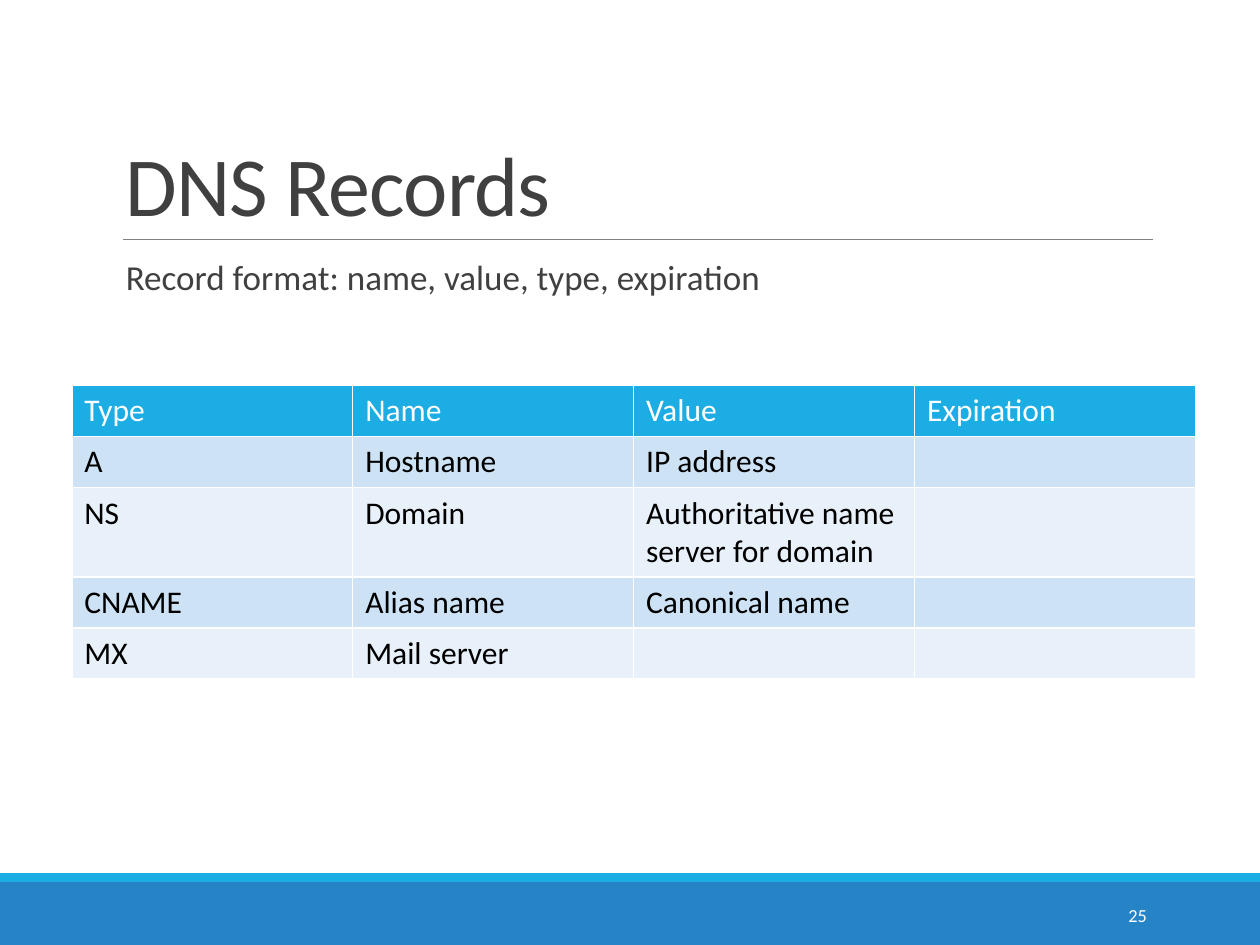
from lxml import etree
from pptx import Presentation
from pptx.dml.color import RGBColor
from pptx.enum import shapes, text
from pptx.oxml import ns
from pptx.util import Pt

WHITE = RGBColor(0xFF, 0xFF, 0xFF)
BLACK = RGBColor(0, 0, 0)
CHARCOAL = RGBColor(0x40, 0x40, 0x40)
GRAY = RGBColor(0x80, 0x80, 0x80)
BLUE = RGBColor(0x26, 0x83, 0xC6)
CYAN = RGBColor(0x1C, 0xAD, 0xE4)
BAND_DARK = RGBColor(0xCD, 0xE3, 0xF5)
BAND_LIGHT = RGBColor(0xE8, 0xF1, 0xFA)

TITLE = "DNS Records"
FORMAT = "Record format: name, value, type, expiration"
PAGE = "25"
RECORDS = [
    ("Type", "Name", "Value", "Expiration"),
    ("A", "Hostname", "IP address", ""),
    ("NS", "Domain", "Authoritative name server for domain", ""),
    ("CNAME", "Alias name", "Canonical name", ""),
    ("MX", "Mail server", "", ""),
]
ROW_HEIGHTS = [29.2, 29.2, 51, 29.2, 29.2]
COLUMN_WIDTH = 160.5

FOOTER_BANDS = [
    ((0, 504, 720, 36), BLUE),
    ((0, 498.96, 720, 5.04), CYAN),
]


def points(box):
    return [Pt(value) for value in box]


def apply(target, values):
    for name, value in values.items():
        setattr(target, name, value)


def write(paragraph, words, size, color):
    run = paragraph.add_run()
    run.text = words
    apply(run.font, {"name": "Calibri", "size": Pt(size)})
    run.font.color.rgb = color
    return run


def add_label(slide, box, words, size, color, frame_format, paragraph_format):
    frame = slide.shapes.add_textbox(*points(box)).text_frame
    apply(frame, {"word_wrap": True, **frame_format})
    paragraph = frame.paragraphs[0]
    apply(paragraph, paragraph_format)
    return write(paragraph, words, size, color)


def border_cell(cell):
    properties = cell._tc.get_or_add_tcPr()
    for index, side in enumerate(("lnL", "lnR", "lnT", "lnB")):
        border = etree.Element(ns.qn(f"a:{side}"), w=str(Pt(1)))
        fill = etree.SubElement(border, ns.qn("a:solidFill"))
        etree.SubElement(fill, ns.qn("a:srgbClr"), val=str(WHITE))
        properties.insert(index, border)


def add_records(slide):
    columns = len(RECORDS[0])
    box = (41.04, 220.32, COLUMN_WIDTH * columns, sum(ROW_HEIGHTS))
    table = slide.shapes.add_table(len(RECORDS), columns, *points(box)).table
    for column in table.columns:
        column.width = Pt(COLUMN_WIDTH)
    for r, (record, height) in enumerate(zip(RECORDS, ROW_HEIGHTS)):
        table.rows[r].height = Pt(height)
        band = CYAN if r == 0 else (BAND_LIGHT, BAND_DARK)[r % 2]
        for c, words in enumerate(record):
            cell = table.cell(r, c)
            cell.fill.solid()
            cell.fill.fore_color.rgb = band
            border_cell(cell)
            if words:
                run = write(cell.text_frame.paragraphs[0], words, 18, BLACK if r else WHITE)
                run.font.bold = False


def main():
    deck = Presentation()
    apply(deck, {"slide_width": Pt(720), "slide_height": Pt(540)})
    slide = deck.slides.add_slide(deck.slide_layouts[6])

    for box, color in FOOTER_BANDS:
        band = slide.shapes.add_shape(shapes.MSO_SHAPE.RECTANGLE, *points(box))
        band.shadow.inherit = False
        band.fill.solid()
        band.fill.fore_color.rgb = color
        band.line.fill.background()

    rule = slide.shapes.add_connector(
        shapes.MSO_CONNECTOR.STRAIGHT, *points((70.56, 136.8, 658.8, 136.8)))
    rule.line.color.rgb = GRAY
    rule.line.width = Pt(0.5)
    etree.SubElement(rule._element.spPr, ns.qn("a:effectLst"))

    title = add_label(slide, (64.8, 22.32, 594, 114.48), TITLE, 48, CHARCOAL,
                      {"vertical_anchor": text.MSO_ANCHOR.BOTTOM}, {"line_spacing": 0.85})
    title.font._element.set("spc", "-50")
    add_label(slide, (64.8, 145.44, 594, 74.88), FORMAT, 20, CHARCOAL,
              {"margin_left": Pt(7.2), "margin_right": 0},
              {"line_spacing": 0.9, "space_after": Pt(2)})
    add_records(slide)
    add_label(slide, (584.64, 508.32, 77.76, 28.8), PAGE, 10.5, WHITE,
              {"vertical_anchor": text.MSO_ANCHOR.MIDDLE},
              {"alignment": text.PP_ALIGN.RIGHT})

    deck.save("out.pptx")


if __name__ == "__main__":
    main()
